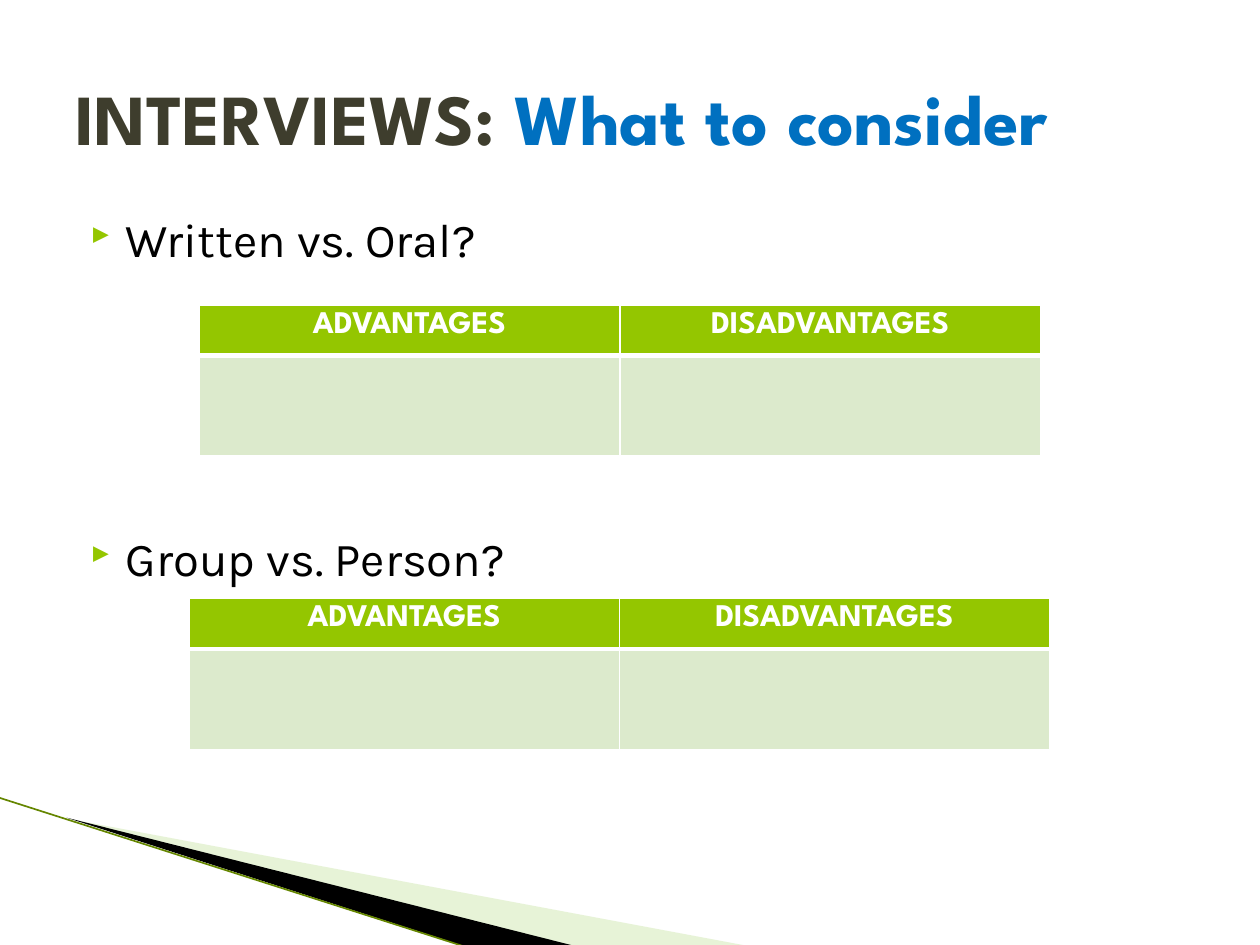
from lxml.etree import SubElement
from pptx import Presentation
from pptx.dml.color import RGBColor
from pptx.enum.shapes import MSO_CONNECTOR
from pptx.enum.text import MSO_ANCHOR, PP_ALIGN
from pptx.oxml.ns import qn
from pptx.util import Inches, Pt

COLORS = {
    "olive": "3E3D2D", "blue": "0070C0", "black": "000000", "white": "FFFFFF",
    "green": "94C600", "pale": "DCEACC", "leaf": "C3E19D", "edge": "658600",
}
HEADING_FONT = "League Spartan"
BODY_FONT = "Karla"


def rgb(name):
    """Return the named palette colour."""
    return RGBColor.from_string(COLORS[name])


def add_run(paragraph, text, font, size, color, bold=False):
    """Append one formatted run to a paragraph."""
    run = paragraph.add_run()
    run.text = text
    run.font.name = font
    run.font.size = Pt(size)
    run.font.bold = bold
    run.font.color.rgb = rgb(color)


def add_text_frame(slide, left, top, width, height, anchor):
    """Add a wrapping text box and return its text frame."""
    box = slide.shapes.add_textbox(*map(Inches, (left, top, width, height)))
    frame = box.text_frame
    frame.word_wrap = True
    frame.vertical_anchor = anchor
    return frame


def add_blade(slide, points, color, opacity=100):
    """Draw a filled sliver through points given in inches."""
    corners = [(Inches(x), Inches(y)) for x, y in points]
    builder = slide.shapes.build_freeform(*corners[0])
    builder.add_line_segments(corners[1:], close=True)
    blade = builder.convert_to_shape()
    blade.shadow.inherit = False
    blade.line.fill.background()
    blade.fill.solid()
    blade.fill.fore_color.rgb = rgb(color)
    if opacity < 100:
        tint = blade.fill._xPr.find(qn("a:solidFill"))[0]
        SubElement(tint, qn("a:alpha"), val=str(opacity * 1000))


def add_edge(slide, start, end):
    """Draw the thin line along the corner decoration."""
    edge = slide.shapes.add_connector(
        MSO_CONNECTOR.STRAIGHT, *map(Inches, start + end))
    edge.line.color.rgb = rgb("edge")
    edge.line.width = Pt(0.95)
    SubElement(edge._element.spPr, qn("a:effectLst"))


def add_bullet(paragraph, text, space_before):
    """Fill a paragraph with a triangle-bulleted topic."""
    paragraph.space_before = Pt(space_before)
    props = paragraph._p.get_or_add_pPr()
    props.set("marL", str(Inches(0.4)))
    props.set("indent", str(Inches(-0.28)))
    tint = SubElement(props, qn("a:buClr"))
    SubElement(tint, qn("a:srgbClr"), val=COLORS["green"])
    SubElement(props, qn("a:buSzPct"), val="68000")
    SubElement(props, qn("a:buFont"), typeface="Wingdings 3", charset="2")
    SubElement(props, qn("a:buChar"), char="}")
    add_run(paragraph, text, BODY_FONT, 27, "black")


def style_cell(cell, fill, top, bottom):
    """Give a cell white borders, with top and bottom widths in points, and a fill."""
    props = cell._tc.get_or_add_tcPr()
    for side, width in (("L", 1), ("R", 1), ("T", top), ("B", bottom)):
        border = SubElement(props, qn("a:ln" + side), w=str(Pt(width)))
        paint = SubElement(border, qn("a:solidFill"))
        SubElement(paint, qn("a:srgbClr"), val=COLORS["white"])
    cell.fill.solid()
    cell.fill.fore_color.rgb = rgb(fill)


def add_comparison(slide, left, top, width):
    """Add an advantages and disadvantages table with an empty answer row."""
    heights = (0.4, 0.8)
    table = slide.shapes.add_table(
        2, 2, *map(Inches, (left, top, width, sum(heights)))).table
    for row, height in zip(table.rows, heights):
        row.height = Inches(height)
    for column, heading in enumerate(("ADVANTAGES", "DISADVANTAGES")):
        table.columns[column].width = Inches(width / 2)
        header, answer = table.cell(0, column), table.cell(1, column)
        style_cell(header, "green", 1, 3)
        style_cell(answer, "pale", 3, 1)
        paragraph = header.text_frame.paragraphs[0]
        paragraph.alignment = PP_ALIGN.CENTER
        add_run(paragraph, heading, HEADING_FONT, 18, "white", bold=True)


def main():
    """Build and save the slide."""
    deck = Presentation()
    deck.slide_width, deck.slide_height = Inches(10), Inches(7.5)
    slide = deck.slides.add_slide(deck.slide_layouts[6])

    add_blade(slide, [(0.55, 6.5), (5.95, 7.51), (4.56, 7.51)], "leaf", 40)
    add_blade(slide, [(0.53, 6.49), (4.57, 7.51), (3.72, 7.52)], "black")
    add_edge(slide, (-0.01, 6.33), (3.71, 7.52))

    title = add_text_frame(slide, 0.5, 0.3, 9, 1.25, MSO_ANCHOR.MIDDLE)
    for text, color in (("INTERVIEWS: ", "olive"), ("What to consider", "blue")):
        add_run(title.paragraphs[0], text, HEADING_FONT, 41, color, bold=True)

    topics = add_text_frame(slide, 0.5, 1.62, 9, 4.95, MSO_ANCHOR.TOP)
    add_bullet(topics.paragraphs[0], "Written vs. Oral?", 4)
    add_bullet(topics.add_paragraph(), "Group vs. Person?", 150)

    add_comparison(slide, 1.58, 2.42, 6.68)
    add_comparison(slide, 1.5, 4.75, 6.83)
    deck.save("out.pptx")


main()
